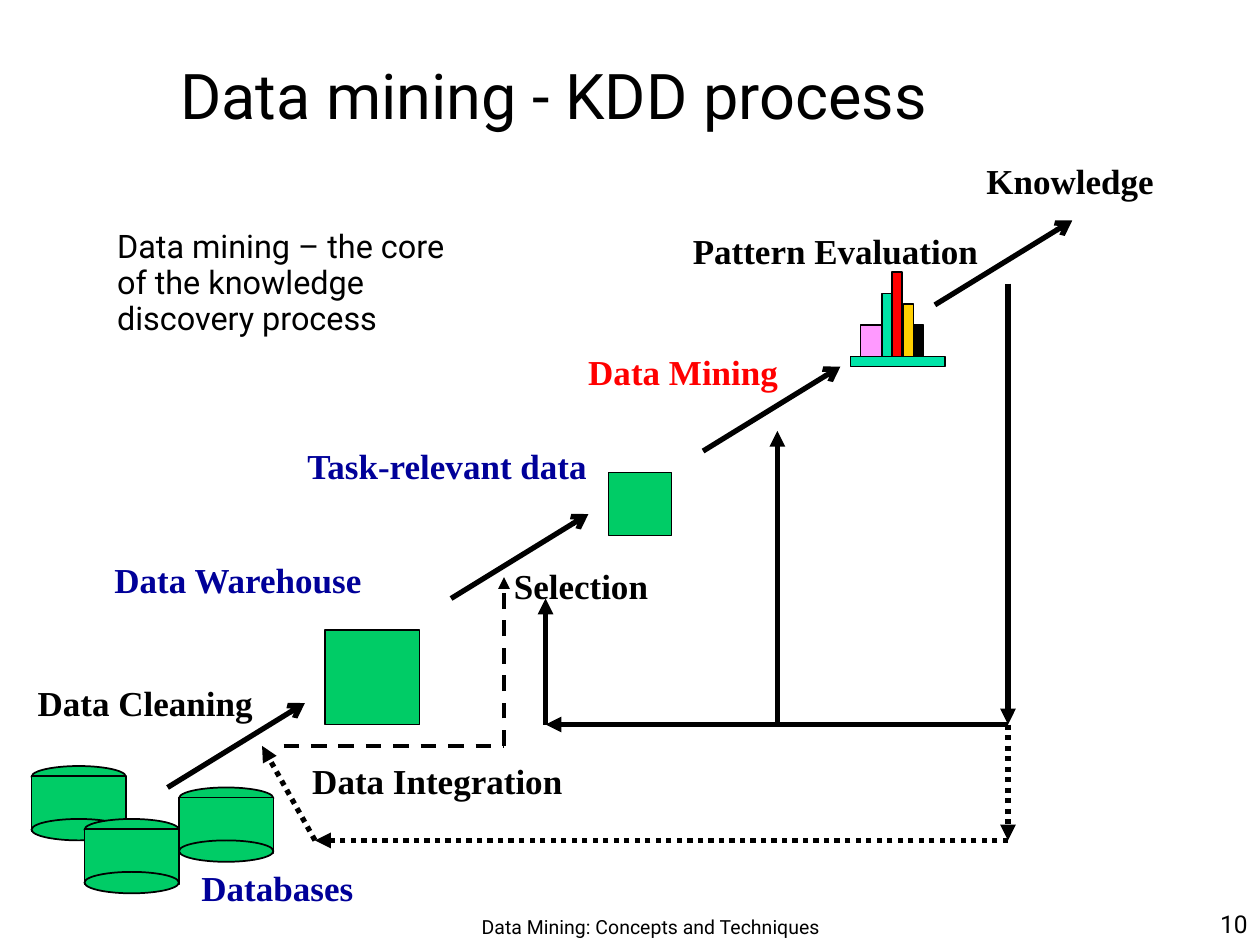
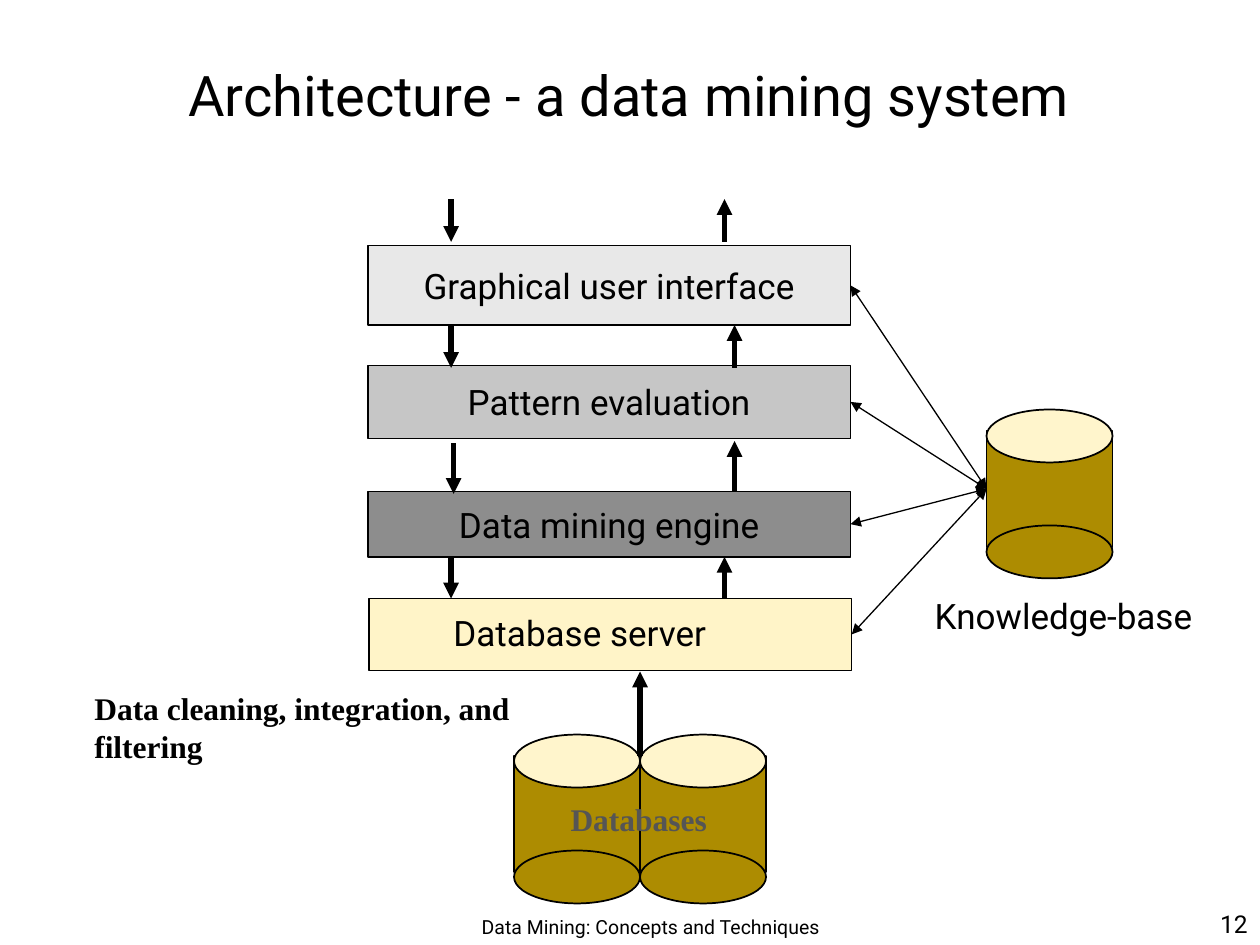
from dataclasses import dataclass

from pptx import Presentation
from pptx.dml.color import RGBColor
from pptx.enum.dml import MSO_LINE
from pptx.enum.shapes import MSO_CONNECTOR, MSO_SHAPE
from pptx.enum.text import MSO_ANCHOR, MSO_AUTO_SIZE, PP_ALIGN
from pptx.oxml.ns import qn
from pptx.util import Inches, Pt
from lxml.etree import SubElement

COLORS = {
    "black": "000000", "navy": "000099", "red": "FF0000", "green": "00CC66",
    "teal": "00E4A8", "yellow": "FFCF01", "pink": "FF99FF", "gold": "AD8C01",
    "cream": "FFF5CC", "server": "FFF4C8", "engine": "8D8D8D",
    "pattern": "C6C6C6", "interface": "E8E8E8", "gray": "555555",
}
SANS, SERIF = "Roboto", "Times New Roman"
FOOTER = "Data Mining: Concepts and Techniques"


@dataclass
class Box:
    left: float
    top: float
    width: float
    height: float


@dataclass
class Style:
    size: float = 20
    font: str = SERIF
    color: str = "black"
    bold: bool = True
    align: PP_ALIGN = PP_ALIGN.LEFT
    line_spacing: float | None = None
    space_before: float | None = None


@dataclass
class Label:
    text: str
    box: Box
    style: Style


@dataclass
class Arrow:
    x1: float
    y1: float
    x2: float
    y2: float
    tail: str | None = "triangle"
    head: str | None = None
    width: float = 3
    dash: MSO_LINE | None = None


@dataclass
class CylinderStyle:
    width: float
    ellipse_height: float
    body_offset: float
    body_height: float
    base_offset: float
    fill: str
    lid: str
    lid_in_front: bool


@dataclass
class Layer:
    text: str
    box: Box
    color: str


HEADING = Style()
DATA = Style(color="navy")
SANS_TEXT = Style(font=SANS, bold=False)
LAYER_TEXT = Style(font=SANS, bold=False, align=PP_ALIGN.CENTER)
GREEN_DRUM = CylinderStyle(0.75, 0.17, 0.08, 0.44, 0.42, "green", "green", False)
GOLD_DRUM = CylinderStyle(1, 0.42, 0.17, 0.92, 0.92, "gold", "cream", True)


def rgb(name: str) -> RGBColor:
    return RGBColor.from_string(COLORS[name])


def emu(box: Box) -> tuple:
    return Inches(box.left), Inches(box.top), Inches(box.width), Inches(box.height)


def place(sp, box: Box) -> None:
    sp.left, sp.top, sp.width, sp.height = emu(box)


def write(p, text: str, style: Style) -> None:
    p.alignment = style.align
    if style.line_spacing is not None:
        p.line_spacing = style.line_spacing
    if style.space_before is not None:
        p.space_before = Pt(style.space_before)
    r = p.add_run()
    r.text = text
    r.font.name, r.font.size, r.font.bold = style.font, Pt(style.size), style.bold
    r.font.color.rgb = rgb(style.color)


def add_label(s, label: Label) -> None:
    tf = s.shapes.add_textbox(*emu(label.box)).text_frame
    tf.word_wrap = True
    tf.auto_size = MSO_AUTO_SIZE.SHAPE_TO_FIT_TEXT
    write(tf.paragraphs[0], label.text, label.style)


def add_figure(s, kind: MSO_SHAPE, box: Box, fill: str, line_width: float = 1):
    sp = s.shapes.add_shape(kind, *emu(box))
    sp.shadow.inherit = False
    sp.fill.solid()
    sp.fill.fore_color.rgb = rgb(fill)
    sp.line.color.rgb = rgb("black")
    sp.line.width = Pt(line_width)
    return sp


def add_arrow(s, arrow: Arrow) -> None:
    cxn = s.shapes.add_connector(
        MSO_CONNECTOR.STRAIGHT, Inches(arrow.x1), Inches(arrow.y1),
        Inches(arrow.x2), Inches(arrow.y2))
    cxn.line.color.rgb = rgb("black")
    cxn.line.width = Pt(arrow.width)
    if arrow.dash is not None:
        cxn.line.dash_style = arrow.dash
    ln = cxn.line._get_or_add_ln()
    for tag, kind in (("a:headEnd", arrow.head), ("a:tailEnd", arrow.tail)):
        if kind:
            SubElement(ln, qn(tag), type=kind)
    SubElement(cxn._element.spPr, qn("a:effectLst"))


def add_cylinder(s, left: float, top: float, c: CylinderStyle) -> None:
    lid = (MSO_SHAPE.OVAL, Box(left, top, c.width, c.ellipse_height), c.lid)
    body = (MSO_SHAPE.RECTANGLE,
            Box(left, top + c.body_offset, c.width, c.body_height), c.fill)
    base = (MSO_SHAPE.OVAL,
            Box(left, top + c.base_offset, c.width, c.ellipse_height), c.fill)
    for part in (body, lid, base) if c.lid_in_front else (lid, body, base):
        add_figure(s, *part)


def add_page(prs, layout: int, title: Label, number: str):
    """Add a slide with its title, footer and page number."""
    s = prs.slides.add_slide(prs.slide_layouts[layout])
    place(s.shapes.title, title.box)
    tf = s.shapes.title.text_frame
    tf.vertical_anchor = MSO_ANCHOR.MIDDLE
    tf.auto_size = MSO_AUTO_SIZE.NONE
    write(tf.paragraphs[0], title.text, title.style)
    footers = (
        (number, Box(7.92, 7, 2.08, 0.5), Style(14, SANS, bold=False, align=PP_ALIGN.RIGHT)),
        (FOOTER, Box(3.58, 7.08, 3.17, 0.42),
         Style(11.1, SANS, bold=False, align=PP_ALIGN.CENTER, line_spacing=0.9)),
    )
    for text, box, style in footers:
        tf = s.shapes.add_textbox(*emu(box)).text_frame
        tf.word_wrap = True
        tf.vertical_anchor = MSO_ANCHOR.BOTTOM
        write(tf.paragraphs[0], text, style)
    return s


def fill_body(s, box: Box, lines: tuple[str, ...], style: Style) -> None:
    body = s.placeholders[1]
    place(body, box)
    tf = body.text_frame
    tf.auto_size = MSO_AUTO_SIZE.NONE
    for i, line in enumerate(lines):
        p = tf.add_paragraph() if i else tf.paragraphs[0]
        p.level = 1
        write(p, line, style)
        pPr = p._p.get_or_add_pPr()
        pPr.set("marL", str(Inches(0.5)))
        pPr.set("indent", "0")
        SubElement(pPr, qn("a:buNone"))


def build_kdd_process(prs) -> None:
    s = add_page(prs, 1, Label("Data mining - KDD process", Box(1.33, 0.25, 8.67, 1),
                               Style(36, SANS, bold=False)), "10")
    fill_body(s, Box(0.33, 1.83, 3.59, 1.17),
              ("Data mining – the core", "of the knowledge", "discovery process"),
              Style(18.5, SANS, bold=False, line_spacing=0.7, space_before=5))

    for x, y in ((1.33, 6.25), (3.58, 4.75), (5.58, 3.58), (7.42, 2.42)):
        add_arrow(s, Arrow(x, y, x + 1.09, y - 0.67, tail="arrow"))
    for x, y in ((0.25, 6.08), (0.67, 6.5), (1.42, 6.25)):
        add_cylinder(s, x, y, GREEN_DRUM)
    for x, y, side in ((2.58, 5, 0.75), (4.83, 3.75, 0.5)):
        add_figure(s, MSO_SHAPE.RECTANGLE, Box(x, y, side, side), "green", 0.75)

    chart_base = 2.83
    bars = ((7.08, 0.08, 0.67, "red"), (7.17, 0.08, 0.42, "yellow"),
            (7, 0.08, 0.5, "teal"), (7.25, 0.08, 0.25, "black"),
            (6.83, 0.17, 0.25, "pink"))
    for x, width, height, color in bars:
        add_figure(s, MSO_SHAPE.RECTANGLE,
                   Box(x, chart_base - height, width, height), color)
    add_figure(s, MSO_SHAPE.RECTANGLE, Box(6.75, chart_base, 0.75, 0.08), "teal")

    labels = (
        ("Data Cleaning", 0.2, 5.36, 2, HEADING),
        ("Data Integration", 2.38, 5.98, 2.3, HEADING),
        ("Databases", 1.5, 6.83, 1.58, DATA),
        ("Data Warehouse", 0.81, 4.38, 2.3, DATA),
        ("Task-relevant data", 2.34, 3.48, 2.55, DATA),
        ("Selection", 3.98, 4.43, 1.4, HEADING),
        ("Data Mining", 4.57, 2.73, 1.8, Style(color="red")),
        ("Pattern Evaluation", 5.4, 1.77, 2.6, HEADING),
        ("Knowledge", 7.73, 1.22, 1.65, HEADING),
    )
    for text, x, y, width, style in labels:
        add_label(s, Label(text, Box(x, y, width, 0.44), style))

    feedback = (
        Arrow(6.17, 5.75, 6.17, 3.42),
        Arrow(8, 2.25, 8, 5.75),
        Arrow(8, 5.75, 4.33, 5.75),
        Arrow(4.33, 5.75, 4.33, 4.75),
        Arrow(8, 5.75, 8, 6.67, dash=MSO_LINE.ROUND_DOT),
        Arrow(8, 6.67, 2.5, 6.67, dash=MSO_LINE.ROUND_DOT),
        Arrow(2.5, 6.67, 2.08, 5.92, dash=MSO_LINE.ROUND_DOT),
        Arrow(2.25, 5.92, 4, 5.92, tail=None, width=2.25, dash=MSO_LINE.DASH),
        Arrow(4, 5.92, 4, 4.58, width=2.25, dash=MSO_LINE.DASH),
    )
    for arrow in feedback:
        add_arrow(s, arrow)


def build_architecture(prs) -> None:
    s = add_page(prs, 5, Label("Architecture - a data mining system",
                               Box(0.83, 0.33, 8.33, 0.83),
                               Style(32, SANS, bold=False, align=PP_ALIGN.CENTER)), "12")
    for x, y in ((5.08, 5.83), (4.08, 5.83), (7.83, 3.25)):
        add_cylinder(s, x, y, GOLD_DRUM)

    layers = (
        Layer("Graphical user interface", Box(2.92, 1.95, 3.83, 0.63), "interface"),
        Layer("Pattern evaluation", Box(2.92, 2.9, 3.83, 0.58), "pattern"),
        Layer("Data mining engine", Box(2.92, 3.9, 3.83, 0.52), "engine"),
        Layer("", Box(2.93, 4.75, 3.83, 0.57), "server"),
    )
    for layer in layers:
        sp = add_figure(s, MSO_SHAPE.RECTANGLE, layer.box, layer.color, 0.75)
        if layer.text:
            tf = sp.text_frame
            tf.word_wrap = False
            tf.vertical_anchor = MSO_ANCHOR.MIDDLE
            write(tf.paragraphs[0], layer.text, LAYER_TEXT)

    labels = (
        Label("Database server", Box(3.5, 4.84, 2.92, 0.4),
              Style(font=SANS, bold=False, line_spacing=0.9, space_before=12.5)),
        Label("Data cleaning, integration, and filtering", Box(0.65, 5.42, 3.92, 0.7),
              Style(18, space_before=11.2)),
        Label("Databases", Box(4.43, 6.3, 1.46, 0.4), Style(18, color="gray")),
        Label("Knowledge-base", Box(7.32, 4.67, 2.52, 0.44), SANS_TEXT),
    )
    for label in labels:
        add_label(s, label)

    requests = ((3.58, 1.58, 1.92), (3.58, 2.58, 2.92), (3.6, 3.52, 3.92), (3.58, 4.42, 4.75))
    replies = ((5.75, 1.92, 1.58), (5.83, 2.92, 2.58), (5.83, 3.9, 3.5), (5.75, 4.75, 4.42),
               (5.08, 6, 5.33))
    for x, start, end in requests + replies:
        add_arrow(s, Arrow(x, start, x, end))
    for layer in layers:
        box = layer.box
        add_arrow(s, Arrow(box.left + box.width, box.top + box.height / 2, 7.83, 3.88,
                           head="triangle", width=0.75))


def main() -> None:
    prs = Presentation()
    prs.slide_width, prs.slide_height = Inches(10), Inches(7.5)
    build_kdd_process(prs)
    build_architecture(prs)
    prs.save("out.pptx")


if __name__ == "__main__":
    main()
